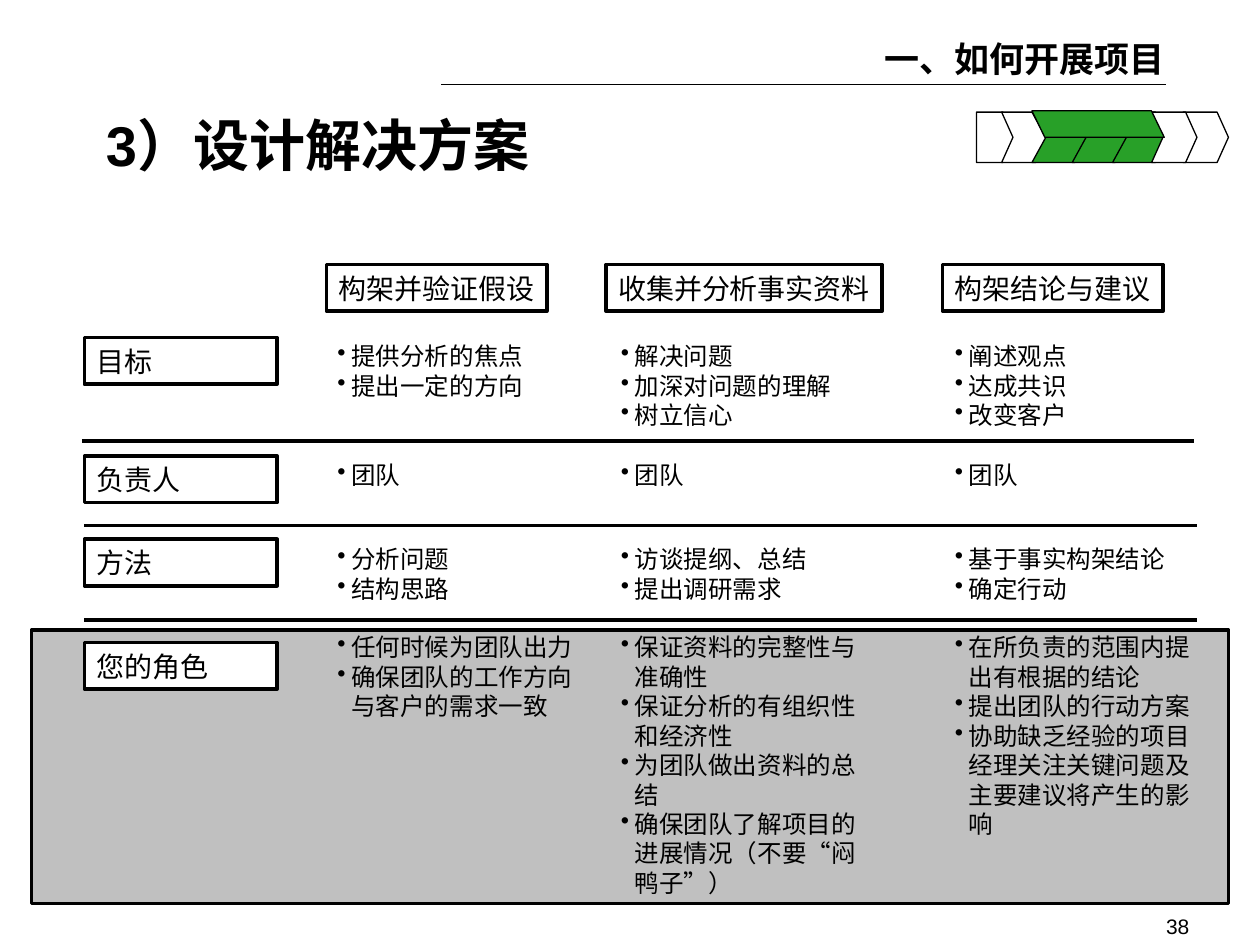
from lxml import etree
from pptx import Presentation
from pptx.dml.color import RGBColor
from pptx.enum import shapes, text
from pptx.oxml.ns import qn
from pptx.util import Inches, Pt

SECTION = "一、如何开展项目"
TITLE = "3）设计解决方案"
PAGE = "38"

# Heading, heading left, heading width, bullets left
STAGES = [
    ("构架并验证假设", 2.59, 1.75, 2.58),
    ("收集并分析事实资料", 4.81, 2.19, 4.83),
    ("构架结论与建议", 7.48, 1.75, 7.48),
]
# Label, label top, bullets top, bullets for each stage
ASPECTS = [
    ("目标", 2.68, 2.66, [
        ["提供分析的焦点", "提出一定的方向"],
        ["解决问题", "加深对问题的理解", "树立信心"],
        ["阐述观点", "达成共识", "改变客户"],
    ]),
    ("负责人", 3.62, 3.6, [["团队"]] * 3),
    ("方法", 4.28, 4.27, [
        ["分析问题", "结构思路"],
        ["访谈提纲、总结", "提出调研需求"],
        ["基于事实构架结论", "确定行动"],
    ]),
    ("您的角色", 5.1, 4.97, [
        ["任何时候为团队出力", "确保团队的工作方向与客户的需求一致"],
        ["保证资料的完整性与准确性", "保证分析的有组织性和经济性",
         "为团队做出资料的总结", "确保团队了解项目的进展情况（不要“闷鸭子”）"],
        ["在所负责的范围内提出有根据的结论", "提出团队的行动方案",
         "协助缺乏经验的项目经理关注关键问题及主要建议将产生的影响"],
    ]),
]
# Left, top, right, weight
RULES = [(3.5, 0.67, 9.25, 0.75), (0.65, 3.5, 9.48, 2),
         (0.67, 4.17, 9.5, 2), (0.67, 4.92, 9.5, 2)]
# Left, width, tip depth, notch depth, fill
CHEVRONS = [
    (7.75, 0.3, 0.09, 0, "white"),
    (7.95, 0.36, 0.09, 0.09, "white"),
    (9.39, 0.36, 0.09, 0.09, "white"),
    *[(8.19 + 0.32 * step, 0.45, 0.11, 0.11, "green") for step in range(3)],
    (9.14, 0.36, 0.09, 0.09, "white"),
]


class Theme:
    black = RGBColor(0, 0, 0)
    white = RGBColor(255, 255, 255)
    gray = RGBColor(0xC0, 0xC0, 0xC0)
    green = RGBColor(0x28, 0xA0, 0x28)
    serif, sans = "Times New Roman", "Arial"
    title, section, label, body, page = 32, 20, 16, 14, 12
    thick, thin = 2, 0.75


def inches(*values):
    return [Inches(value) for value in values]


def add_bullet(paragraph):
    props = paragraph._p.get_or_add_pPr()
    props.set("marL", str(Inches(0.11)))
    props.set("indent", str(-Inches(0.11)))
    etree.SubElement(props, qn("a:buChar")).set("char", "•")


def write(shape, lines, size, font=Theme.serif, bold=False, align=text.PP_ALIGN.LEFT,
          anchor=text.MSO_ANCHOR.TOP, margins=(0.1, 0.05), wrap=True,
          bullets=False, spacing=None):
    frame = shape.text_frame
    frame.auto_size = text.MSO_AUTO_SIZE.NONE
    frame.word_wrap, frame.vertical_anchor = wrap, anchor
    frame.margin_left = frame.margin_right = Inches(margins[0])
    frame.margin_top = frame.margin_bottom = Inches(margins[1])
    for index, line in enumerate(lines):
        paragraph = frame.paragraphs[0] if index == 0 else frame.add_paragraph()
        if bullets:
            add_bullet(paragraph)
        paragraph.alignment = align
        if spacing:
            paragraph.line_spacing = spacing
        run = paragraph.add_run()
        run.text = line
        run.font.name, run.font.size, run.font.bold = font, Pt(size), bold
        run.font.color.rgb = Theme.black


def paint(shape, fill, weight):
    shape.shadow.inherit = False
    shape.fill.solid()
    shape.fill.fore_color.rgb = fill
    shape.line.color.rgb = Theme.black
    shape.line.width = Pt(weight)
    return shape


def add_panel(slide, box, fill=Theme.white):
    panel = slide.shapes.add_shape(shapes.MSO_SHAPE.RECTANGLE, *inches(*box))
    return paint(panel, fill, Theme.thick)


def add_rule(slide, left, top, right, weight):
    rule = slide.shapes.add_connector(
        shapes.MSO_CONNECTOR.STRAIGHT, *inches(left, top, right, top))
    rule.line.color.rgb = Theme.black
    rule.line.width = Pt(weight)
    etree.SubElement(rule._element.spPr, qn("a:effectLst"))


def add_chevron(slide, left, width, tip, notch, fill):
    top, middle, bottom = 0.89, 1.09, 1.29
    right = left + width
    outline = [(right - tip, top), (right, middle), (right - tip, bottom),
               (left, bottom), (left + notch, middle)]
    builder = slide.shapes.build_freeform(*inches(left, top))
    builder.add_line_segments([inches(*point) for point in outline], close=True)
    paint(builder.convert_to_shape(), getattr(Theme, fill), Theme.thin)


def add_progress(slide):
    for chevron in CHEVRONS:
        add_chevron(slide, *chevron)
    band = slide.shapes.add_shape(
        shapes.MSO_SHAPE.PARALLELOGRAM, *inches(8.19, 0.88, 1.05, 0.21))
    band.adjustments[0] = 0.485
    band._element.spPr.xfrm.set("flipV", "1")
    paint(band, Theme.green, Theme.thin)


def add_matrix(slide):
    middle = text.MSO_ANCHOR.MIDDLE
    for heading, left, width, _ in STAGES:
        write(add_panel(slide, (left, 2.1, width, 0.37)), [heading], Theme.label,
              align=text.PP_ALIGN.CENTER, anchor=middle, wrap=False)
    for label, label_top, top, cells in ASPECTS:
        write(add_panel(slide, (0.67, label_top, 1.53, 0.37)), [label],
              Theme.label, anchor=middle)
        for (*_, left), points in zip(STAGES, cells):
            height = 0.1 + 0.234 * len(points)
            cell = slide.shapes.add_textbox(*inches(left, top, 2.08, height))
            write(cell, points, Theme.body, bullets=True)


def main():
    deck = Presentation()
    deck.slide_width, deck.slide_height = inches(10, 7.5)
    slide = deck.slides.add_slide(deck.slide_layouts[5])

    title = slide.shapes.title
    title.left, title.top, title.width, title.height = inches(0.84, 0.94, 8.44, 0.48)
    write(title, [TITLE], Theme.title, font=Theme.sans, bold=True,
          margins=(0, 0), spacing=0.9)
    section = slide.shapes.add_textbox(*inches(6.92, 0.25, 3, 0.44))
    write(section, [SECTION], Theme.section, bold=True)

    add_panel(slide, (0.25, 5, 9.5, 2.17), Theme.gray)
    add_matrix(slide)
    for rule in RULES:
        add_rule(slide, *rule)
    add_progress(slide)
    page = slide.shapes.add_textbox(*inches(7.37, 7.25, 2.07, 0.2))
    write(page, [PAGE], Theme.page, font=Theme.sans, margins=(0, 0),
          align=text.PP_ALIGN.RIGHT)
    deck.save("out.pptx")


if __name__ == "__main__":
    main()
